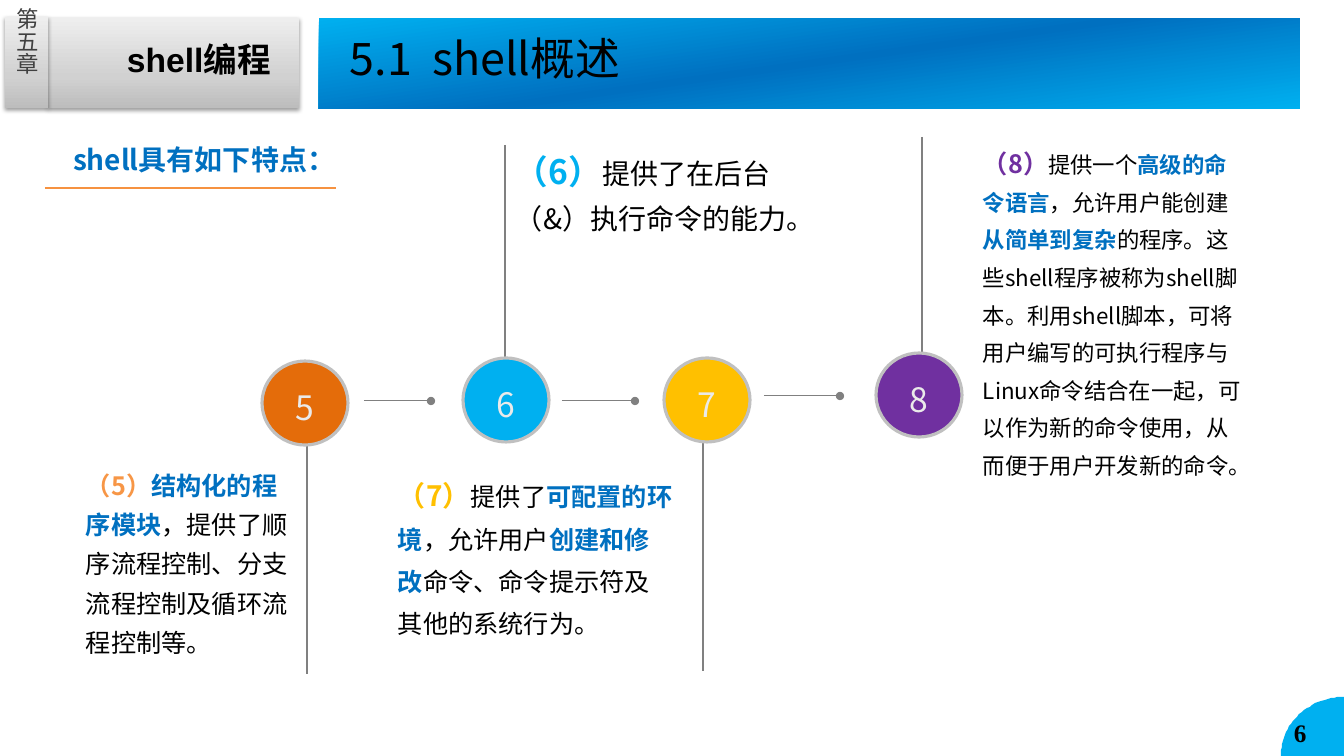
"""Build the slide on shell features 5 to 8."""
import math
from lxml import etree
from pptx import Presentation, util as u
from pptx.dml.color import RGBColor
from pptx.enum import shapes, text
from pptx.oxml.ns import qn

PX = 914400 / 100.8
BLUE, BLACK, GREY = "0070C0", "000000", "808080"
SILVER = [(0, "BDBDBD"), (35, "D1D1D1"), (100, "EEEEEE")]
SKY = [(0, "00B0F0"), (50, BLUE), (100, "00B0F0")]


def px(*values):
    return [u.Emu(round(v * PX)) for v in values]


def rgb(code):
    return RGBColor.from_string(code)


def add_run(p, words, size=18, color=BLACK, bold=False, font="Noto Sans CJK SC",
            east="Noto Sans CJK SC"):
    r = p.add_run()
    r.text = words
    r.font.size, r.font.bold, r.font.name = u.Pt(size), bold, font
    r.font.color.rgb = rgb(color)
    etree.SubElement(r.font._element, qn("a:ea"), typeface=east)


class Slide:
    def __init__(self):
        self.prs = Presentation()
        self.prs.slide_width, self.prs.slide_height = px(1344, 756)
        self.s = self.prs.slides.add_slide(self.prs.slide_layouts[5])

    def fill_text(self, sp, runs, spacing=1.0, insets=(10, 5, 10, 5), wrap=True,
                  align=text.PP_ALIGN.LEFT, anchor=text.MSO_ANCHOR.TOP):
        tf = sp.text_frame
        tf.word_wrap, tf.vertical_anchor = wrap, anchor
        tf.auto_size = text.MSO_AUTO_SIZE.NONE
        tf.margin_left, tf.margin_top, tf.margin_right, tf.margin_bottom = px(*insets)
        p = tf.paragraphs[0]
        p.alignment, p.line_spacing = align, spacing
        for words, style in runs:
            add_run(p, words, **style)
        return sp

    def label(self, box, runs, **layout):
        return self.fill_text(self.s.shapes.add_textbox(*px(*box)), runs, **layout)

    def title(self, box, runs):
        sp = self.s.shapes.title
        sp.left, sp.top, sp.width, sp.height = px(*box)
        self.fill_text(sp, runs, insets=(0, 0, 0, 0))

    def band(self, box, stops, angle, shadow=False):
        sp = self.s.shapes.add_shape(shapes.MSO_SHAPE.RECTANGLE, *px(*box))
        sp.shadow.inherit = False
        sp.line.fill.background()
        sp.fill.gradient()
        sp.fill.gradient_angle = 360 - angle
        spPr = sp._element.spPr
        gs_list = spPr.find(qn("a:gradFill")).find(qn("a:gsLst"))
        for gs in list(gs_list):
            gs_list.remove(gs)
        for pos, code in stops:
            gs = etree.SubElement(gs_list, qn("a:gs"), pos=str(pos * 1000))
            etree.SubElement(gs, qn("a:srgbClr"), val=code)
        if shadow:
            outer = etree.SubElement(spPr.find(qn("a:effectLst")), qn("a:outerShdw"),
                                     blurRad="39370", dist="20320", dir="5400000",
                                     rotWithShape="0")
            clr = etree.SubElement(outer, qn("a:srgbClr"), val=BLACK)
            etree.SubElement(clr, qn("a:alpha"), val="38000")

    def circle(self, x, y, number, color):
        sp = self.s.shapes.add_shape(shapes.MSO_SHAPE.OVAL, *px(x, y, 86, 84))
        sp.shadow.inherit = False
        sp.fill.solid()
        sp.fill.fore_color.rgb = rgb(color)
        sp.line.color.rgb, sp.line.width = rgb("C0C0C0"), u.Pt(2.25)
        self.fill_text(sp, [(number, dict(size=24, color="EAEAEA"))], insets=(0, 8, 0, 0),
                       wrap=False, align=text.PP_ALIGN.CENTER, anchor=text.MSO_ANCHOR.MIDDLE)

    def line(self, ends, color=GREY, width=0.75, dot=False):
        cx = self.s.shapes.add_connector(shapes.MSO_CONNECTOR.STRAIGHT, *px(*ends))
        cx.line.color.rgb, cx.line.width = rgb(color), u.Pt(width)
        if dot:
            etree.SubElement(cx.line._get_or_add_ln(), qn("a:tailEnd"), type="oval")
        etree.SubElement(cx._element.spPr, qn("a:effectLst"))

    def corner(self, width, height, color):
        arc = [(1344 - width * math.cos(a), 756 - height * math.sin(a))
               for a in (math.pi / 2 * i / 30 for i in range(31))]
        fb = self.s.shapes.build_freeform(1344, 756, scale=PX)
        fb.add_line_segments(arc)
        sp = fb.convert_to_shape()
        sp.shadow.inherit = False
        sp.fill.solid()
        sp.fill.fore_color.rgb = rgb(color)
        sp.line.fill.background()


def feature_runs(number, color, size, number_size, parts):
    runs = [(f"（{number}）", dict(size=number_size, color=color, bold=True))]
    for words, strong in parts:
        runs.append((words, dict(size=size, color=BLUE if strong else BLACK, bold=strong)))
    return runs


FEATURES = [
    dict(number="5", color="E46C0A", mark="F79646", at=(262, 361), stem=(307, 445, 307, 674),
         arrow=(364, 401, 431, 401), box=(76, 456, 233, 207), sizes=(18, 18), spacing=1.3,
         parts=[("结构化的程序模块", True),
                ("，提供了顺序流程控制、分支流程控制及循环流程控制等。", False)]),
    dict(number="6", color="00B0F0", mark="00B0F0", at=(463, 358), stem=(505, 145, 505, 358),
         arrow=(562, 401, 635, 401), box=(505, 134, 335, 106), sizes=(20, 24), spacing=1.3,
         parts=[("提供了在后台（&）执行命令的能力。", False)]),
    dict(number="7", color="FFC000", mark="FFC000", at=(664, 358), stem=(703, 441, 703, 671),
         arrow=(764, 396, 840, 396), box=(388, 460, 297, 183), sizes=(18, 20), spacing=1.4,
         parts=[("提供了", False), ("可配置的环境", True), ("，允许用户", False),
                ("创建和修改", True), ("命令、命令提示符及其他的系统行为。", False)]),
    dict(number="8", color="7030A0", mark="7030A0", at=(876, 353), stem=(922, 137, 922, 353),
         arrow=None, box=(973, 131, 285, 353), sizes=(16, 18), spacing=1.4,
         parts=[("提供一个", False), ("高级的命令语言", True), ("，允许用户能创建", False),
                ("从简单到复杂", True),
                ("的程序。这些shell程序被称为shell脚本。利用shell脚本，可将用户编写的可执行程序"
                 "与Linux命令结合在一起，可以作为新的命令使用，从而便于用户开发新的命令。", False)]),
]


def main():
    s = Slide()
    s.band((48, 18, 251, 90), SILVER, 270, shadow=True)
    s.label((117, 34, 190, 53), [("shell编程", dict(size=24, bold=True, font="Arial"))])
    s.band((5, 17, 43, 91), SILVER, 270, shadow=True)
    chapter = s.label((12, 8, 29, 72), [("第五章", dict(size=16, color="404040"))],
                      insets=(0, 0, 0, 0), align=text.PP_ALIGN.CENTER,
                      anchor=text.MSO_ANCHOR.MIDDLE)
    chapter.text_frame._txBody.bodyPr.set("vert", "eaVert")
    s.band((319, 18, 981, 91), SKY, 262)
    s.title((350, 31, 371, 61), [("5.1  shell概述", dict(size=32))])
    title = s.s.shapes.title._element
    title.getparent().append(title)
    s.corner(63, 59, "00B0F0")
    s.label((1284, 712, 60, 40), [("6", dict(bold=True, font="Times New Roman"))])
    s.line((45, 188, 336, 188), color="F69240")
    s.label((63, 131, 281, 90), [("shell具有如下特点：", dict(size=20, color=BLUE, bold=True))],
            spacing=1.2)
    for f in FEATURES:
        s.line(f["stem"], width=1.5)
        s.circle(*f["at"], f["number"], f["color"])
        if f["arrow"]:
            s.line(f["arrow"], dot=True)
        s.label(f["box"], feature_runs(f["number"], f["mark"], *f["sizes"], f["parts"]),
                spacing=f["spacing"])
    s.prs.save("out.pptx")


if __name__ == "__main__":
    main()
